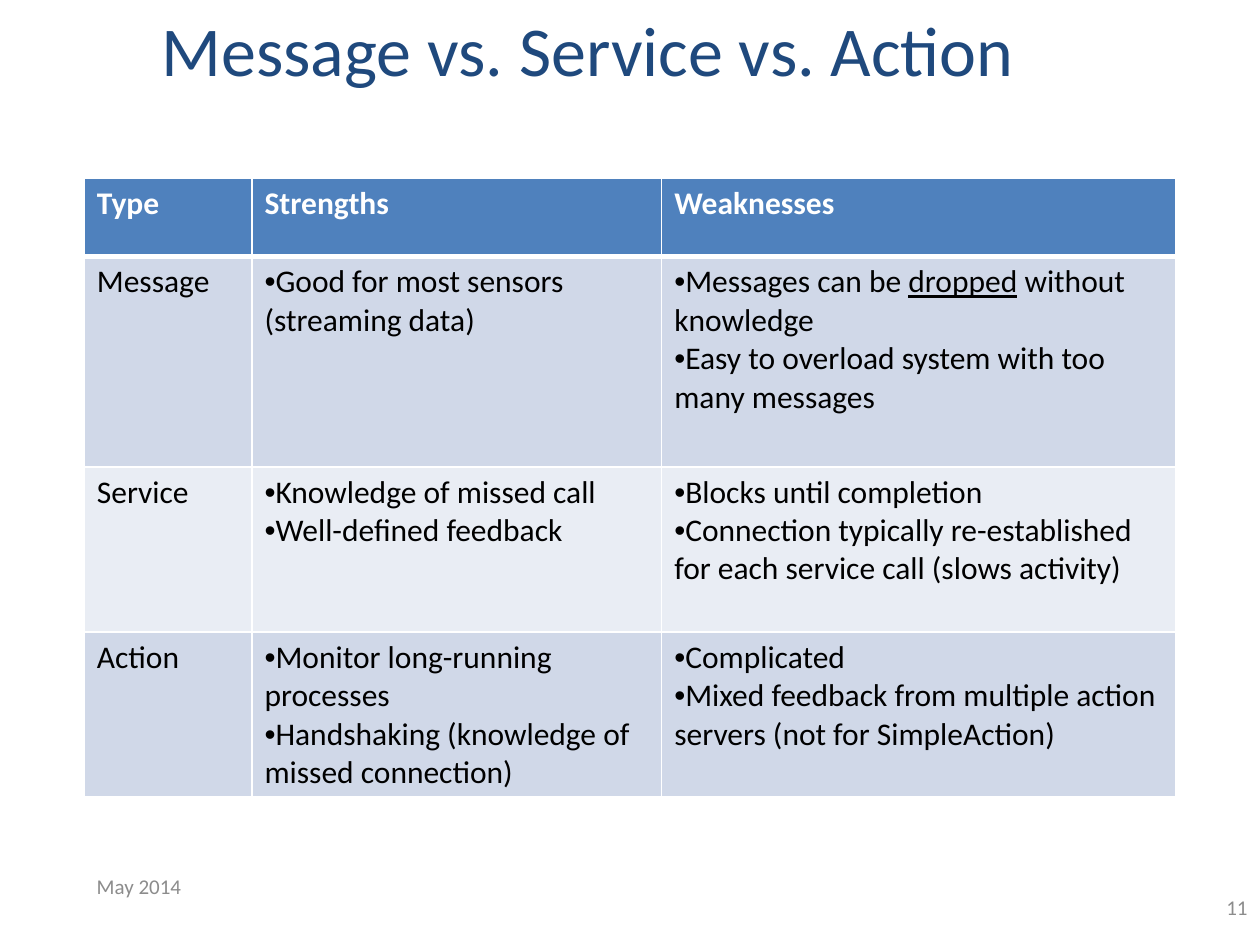
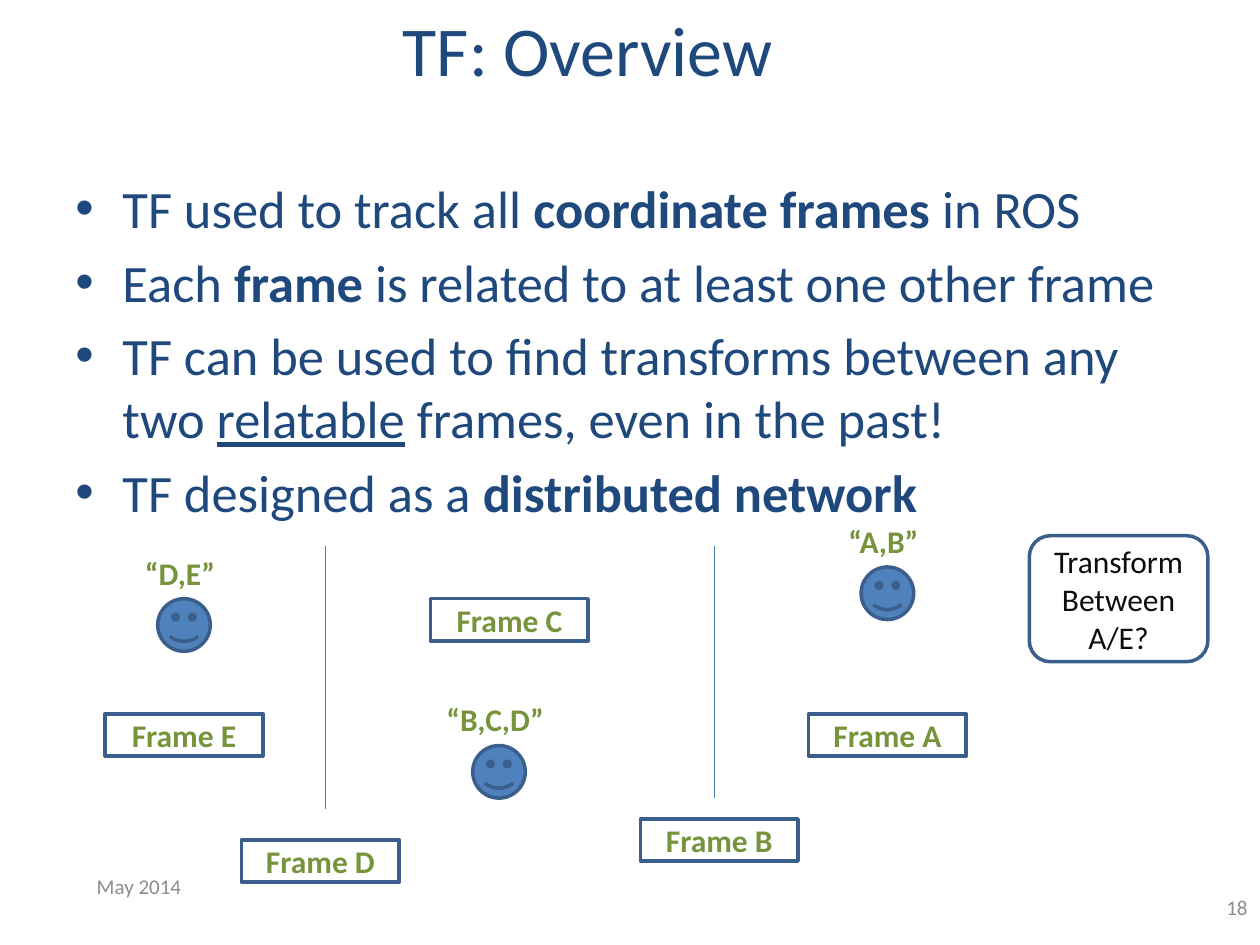
from dataclasses import dataclass

from lxml.etree import SubElement
from pptx import Presentation
from pptx.dml.color import RGBColor
from pptx.enum.shapes import MSO_CONNECTOR as Link, MSO_SHAPE as Kind
from pptx.enum.text import MSO_ANCHOR as Anchor, PP_ALIGN as Align
from pptx.oxml.ns import qn
from pptx.util import Cm, Pt

# Text marks: *bold* and _underlined_.
TYPES = {
    "title": "Message vs. Service vs. Action",
    "page": "11",
    "head": ["Type", "Strengths", "Weaknesses"],
    "rows": [
        ("Message",
         ["Good for most sensors (streaming data)"],
         ["Messages can be _dropped_ without knowledge",
          "Easy to overload system with too many messages"]),
        ("Service",
         ["Knowledge of missed call", "Well-defined feedback"],
         ["Blocks until completion",
          "Connection typically re-established for each service call "
          "(slows activity)"]),
        ("Action",
         ["Monitor long-running processes",
          "Handshaking (knowledge of missed connection)"],
         ["Complicated",
          "Mixed feedback from multiple action servers "
          "(not for SimpleAction)"]),
    ],
    "widths": [3.38, 8.26, 10.37],
    "heights": [1.57, 4.24, 3.33, 3.33],
}

TF = {
    "title": "TF: Overview",
    "page": "18",
    "points": [
        "TF used to track all *coordinate frames* in ROS",
        "Each *frame* is related to at least one other frame",
        "TF can be used to find transforms between any two _relatable_ "
        "frames, even in the past!",
        "TF designed as a *distributed network*",
    ],
    # left, top
    "frames": {"A": (16.3, 14.39), "B": (12.91, 16.51), "C": (8.68, 12.07),
               "D": (4.87, 16.93), "E": (2.12, 14.39)},
    # label, left and top of face
    "nodes": [("“A,B”", 17.36, 11.43), ("“D,E”", 3.18, 12.07),
              ("“B,C,D”", 9.53, 15.03)],
    # x, bottom
    "splits": [(6.56, 16.3), (14.4, 16.08)],
    "query": "Transform Between A/E?",
}
DATE = "May 2014"


@dataclass(frozen=True)
class Theme:
    font: str = "Calibri"
    navy: str = "1F497D"
    blue: str = "4F81BD"
    edge: str = "3A5F8C"
    rule: str = "4B7EBC"
    green: str = "77933C"
    gray: str = "8C8C8C"
    ink: str = "0D0D0D"
    black: str = "000000"
    white: str = "FFFFFF"
    bands: tuple = ("D0D8E8", "E9EDF4")
    big: int = 40
    body: int = 30
    text: int = 18
    small: int = 12


T = Theme()


def rgb(code):
    return RGBColor.from_string(code)


def split(text):
    """Yield (piece, bold, underline) for marked text."""
    for i, part in enumerate(text.split("*")):
        for j, piece in enumerate(part.split("_")):
            if piece:
                yield piece, i % 2 == 1, j % 2 == 1


def write(frame, lines, size=T.text, color=T.black, bold=False,
          align=Align.LEFT, bullet=False, hang=0, before=0):
    lines = [lines] if isinstance(lines, str) else lines
    for i, line in enumerate(lines):
        para = frame.add_paragraph() if i else frame.paragraphs[0]
        para.alignment = align
        para.space_before = Pt(before)
        for piece, strong, under in split(line):
            run = para.add_run()
            run.text = piece
            font = run.font
            font.name, font.size = T.font, Pt(size)
            font.bold, font.underline = bold or strong, under
            font.color.rgb = rgb(color)
        if bullet:
            props = para._p.get_or_add_pPr()
            props.set("marL", str(Cm(hang)))
            props.set("indent", str(-Cm(hang)))
            SubElement(props, qn("a:buFont"), typeface="Arial")
            SubElement(props, qn("a:buChar"), char="•")


def label(slide, text, x, y, w, h, anchor=Anchor.MIDDLE, **form):
    frame = slide.shapes.add_textbox(Cm(x), Cm(y), Cm(w), Cm(h)).text_frame
    frame.word_wrap = True
    frame.vertical_anchor = anchor
    write(frame, text, **form)


def shape(slide, kind, x, y, w, h, fill=None, text=None, **form):
    item = slide.shapes.add_shape(kind, Cm(x), Cm(y), Cm(w), Cm(h))
    item.shadow.inherit = False
    if fill:
        item.fill.solid()
        item.fill.fore_color.rgb = rgb(fill)
    else:
        item.fill.background()
    item.line.color.rgb = rgb(T.edge)
    item.line.width = Pt(2)
    if text:
        item.text_frame.word_wrap = True
        item.text_frame.vertical_anchor = Anchor.MIDDLE
        write(item.text_frame, text, align=Align.CENTER, **form)


def rule(slide, x, top, end):
    line = slide.shapes.add_connector(
        Link.STRAIGHT, Cm(x), Cm(top), Cm(x), Cm(end))
    line.line.color.rgb = rgb(T.rule)
    line.line.width = Pt(0.75)
    SubElement(line._element.spPr, qn("a:effectLst"))


def border(cell, row):
    """Draw white cell edges, thicker between the header and the rows."""
    props = cell._tc.get_or_add_tcPr()
    wide = {("B", 0), ("T", 1)}
    for side in "LRTB":
        width = Pt(3 if (side, row) in wide else 1)
        edge = SubElement(props, qn(f"a:ln{side}"), w=str(width))
        fill = SubElement(edge, qn("a:solidFill"))
        SubElement(fill, qn("a:srgbClr"), val=T.white)


def start(deck, data):
    """Add a slide with its title, date and page number."""
    slide = deck.slides.add_slide(deck.slide_layouts[6])
    label(slide, data["title"], 2.54, 0, 18.62, 1.9, anchor=Anchor.TOP,
          size=T.big, color=T.navy, align=Align.CENTER)
    foot = dict(size=T.small, color=T.gray)
    label(slide, DATE, 1.7, 17.35, 4.88, 1.02, **foot)
    label(slide, data["page"], 19.48, 17.78, 5.92, 1.02,
          align=Align.RIGHT, **foot)
    return slide


def compare(deck, data):
    slide = start(deck, data)
    rows = [data["head"], *data["rows"]]
    wide, high = data["widths"], data["heights"]
    table = slide.shapes.add_table(
        len(rows), len(wide), Cm(1.7), Cm(3.6),
        Cm(sum(wide)), Cm(sum(high))).table
    for col, w in zip(table.columns, wide):
        col.width = Cm(w)
    for r, (row, h) in enumerate(zip(rows, high)):
        table.rows[r].height = Cm(h)
        for c, text in enumerate(row):
            cell = table.cell(r, c)
            border(cell, r)
            cell.fill.solid()
            cell.fill.fore_color.rgb = rgb(T.bands[(r - 1) % 2] if r else T.blue)
            write(cell.text_frame, text, bold=r == 0,
                  color=T.black if r else T.white,
                  bullet=isinstance(text, list))


def overview(deck, data):
    slide = start(deck, data)
    label(slide, data["points"], 1.27, 3.43, 22.86, 6.73, anchor=Anchor.TOP,
          size=T.body, color=T.navy, bullet=True, hang=0.95, before=6)
    for x, end in data["splits"]:
        rule(slide, x, 11, end)
    tag = dict(color=T.green, bold=True)
    face, wide = 1.06, 2.54
    for text, x, y in data["nodes"]:
        shape(slide, Kind.SMILEY_FACE, x, y, face, face, fill=T.blue)
        label(slide, text, x + (face - wide) / 2 - 0.08, y - 0.85, wide, 0.64,
              align=Align.CENTER, **tag)
    for name, (x, y) in data["frames"].items():
        shape(slide, Kind.RECTANGLE, x, y, 3.18, 0.85,
              text=f"Frame {name}", **tag)
    shape(slide, Kind.FLOWCHART_ALTERNATE_PROCESS, 20.75, 10.8, 3.6, 2.54,
          text=data["query"], color=T.ink)


def main():
    deck = Presentation()
    deck.slide_width, deck.slide_height = Cm(25.4), Cm(19.05)
    compare(deck, TYPES)
    overview(deck, TF)
    deck.save("out.pptx")


if __name__ == "__main__":
    main()
